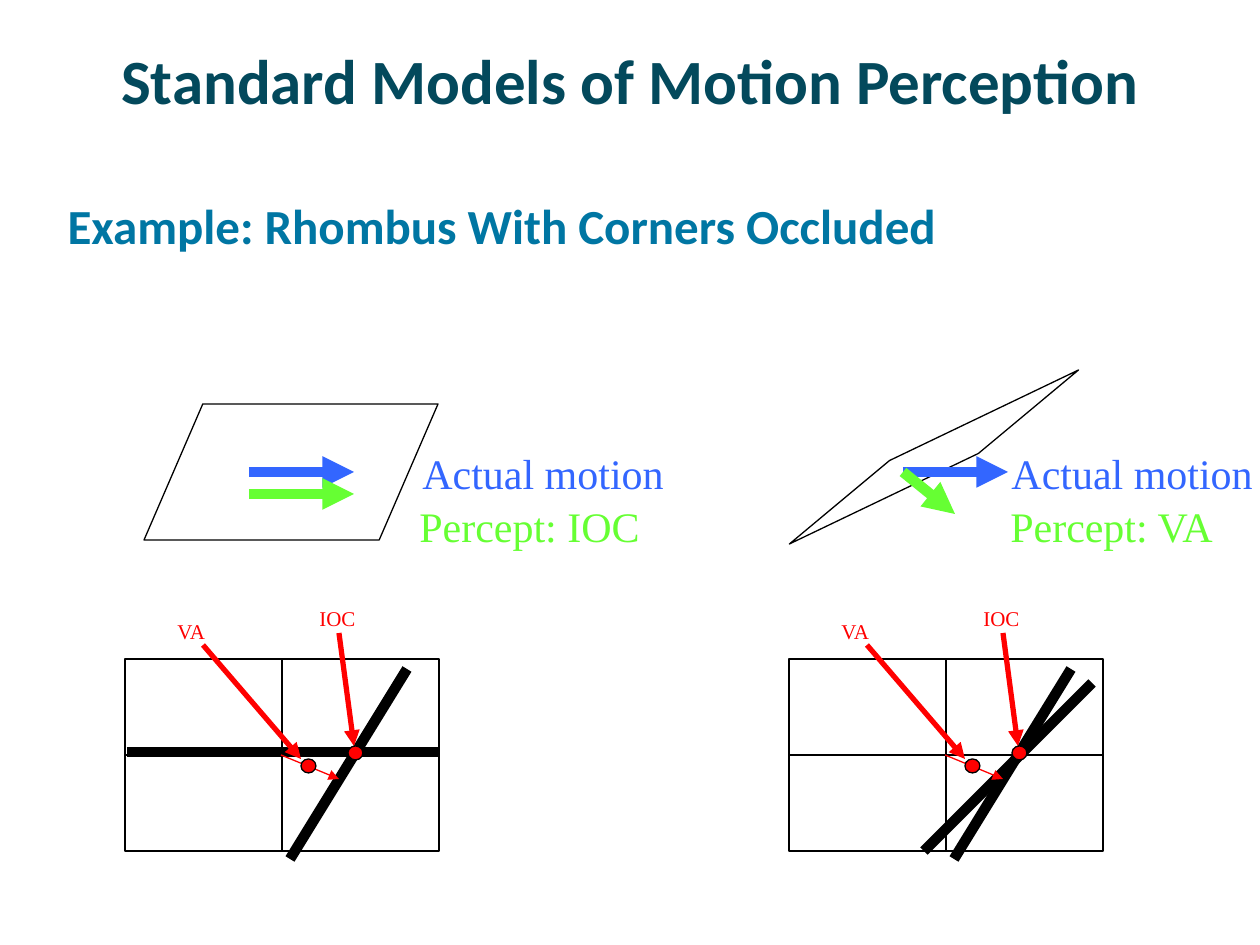
"""Build the slide on standard models of motion perception."""
import pptx
import pptx.dml.color
import pptx.enum.shapes
import pptx.enum.text
import pptx.oxml.ns
import pptx.util
from lxml import etree

SCALE = 914400 / 126
BLACK, WHITE, RED, BLUE, GREEN = "000000", "FFFFFF", "FF0000", "3366FF", "66FF33"
NAVY, TEAL = "03495C", "0076A3"
SHAPES = pptx.enum.shapes.MSO_SHAPE


def emu(*lengths):
    return [pptx.util.Emu(round(length * SCALE)) for length in lengths]


def color(hex_string):
    return pptx.dml.color.RGBColor.from_string(hex_string)


presentation = pptx.Presentation()
presentation.slide_width, presentation.slide_height = emu(1260, 945)
slide = presentation.slides.add_slide(presentation.slide_layouts[1])

texts = [
    (slide.shapes.title, (63, 21, 1134, 116), "Standard Models of Motion Perception", 36, "Calibri", NAVY),
    (slide.placeholders[1], (42, 189, 1155, 655), "Example: Rhombus With Corners Occluded", 28, "Calibri", TEAL),
]
shapes = [
    (SHAPES.FLOWCHART_DATA, (144, 404, 294, 136), WHITE),
    (SHAPES.PARALLELOGRAM, (766, 441, 336, 32), WHITE),
]
lines = []
panels = [
    (0, (127, 752, 438, 752)),
    (664, (924, 851, 1092, 683)),
]
for offset, second_bar in panels:
    shapes += [(SHAPES.RECTANGLE, (125 + offset, 659, 314, 192), WHITE)]
    lines += [
        ((407 + offset, 669, 290 + offset, 859), BLACK, 6, False),
        (second_bar, BLACK, 6, False),
        ((339 + offset, 633, 354 + offset, 746), RED, 3, True),
        ((281 + offset, 755, 339 + offset, 779), RED, 0.75, True),
        ((203 + offset, 645, 301 + offset, 759), RED, 3, True),
    ]
    texts += [
        (None, (307 + offset, 599, 62, 38), "IOC", 12, "Times New Roman", RED),
        (None, (165 + offset, 612, 55, 38), "VA", 12, "Times New Roman", RED),
    ]
lines += [
    ((249, 472, 354, 472), BLUE, 6, True),
    ((903, 472, 1008, 472), BLUE, 6, True),
    ((249, 494, 354, 494), GREEN, 6, True),
    ((903, 472, 955, 514), GREEN, 6, True),
]
texts += [
    (None, (998, 494, 228, 63), "Percept: VA", 24, "Times New Roman", GREEN),
    (None, (407, 494, 248, 63), "Percept: IOC", 24, "Times New Roman", GREEN),
    (None, (410, 441, 271, 63), "Actual motion", 24, "Times New Roman", BLUE),
    (None, (999, 441, 271, 63), "Actual motion", 24, "Times New Roman", BLUE),
]

outlines = []
for kind, box, fill in shapes:
    shape = slide.shapes.add_shape(kind, *emu(*box))
    shape.shadow.inherit = False
    shape.fill.solid()
    shape.fill.fore_color.rgb = color(fill)
    shape.line.color.rgb = color(BLACK)
    shape.line.width = pptx.util.Pt(0.75)
    outlines.append(shape)
    if kind == SHAPES.PARALLELOGRAM:
        shape.adjustments[0] = 3.95
        shape.rotation = 334.4
    if kind == SHAPES.RECTANGLE:
        left, top, width, height = box
        middle, center = left + width // 2, top + height // 2
        lines.insert(0, ((left, center, left + width, center), BLACK, 0.75, (shape, 1, 3)))
        lines.insert(0, ((middle, top, middle, top + height), BLACK, 0.75, (shape, 0, 2)))

for ends, line_color, weight, ending in lines:
    connector = slide.shapes.add_connector(pptx.enum.shapes.MSO_CONNECTOR.STRAIGHT, *emu(*ends))
    connector.line.color.rgb = color(line_color)
    connector.line.width = pptx.util.Pt(weight)
    if ending is True:
        etree.SubElement(connector.line._get_or_add_ln(), pptx.oxml.ns.qn("a:tailEnd"), type="triangle")
    elif ending:
        rectangle, first_side, last_side = ending
        connector.begin_connect(rectangle, first_side)
        connector.end_connect(rectangle, last_side)
    etree.SubElement(connector._element.spPr, pptx.oxml.ns.qn("a:effectLst"))

for offset, second_bar in panels:
    for left, top in ((348, 746), (301, 759)):
        dot = slide.shapes.add_shape(SHAPES.OVAL, *emu(left + offset, top, 15, 14))
        dot.shadow.inherit = False
        dot.fill.solid()
        dot.fill.fore_color.rgb = color(RED)
        dot.line.color.rgb = color(BLACK)
        dot.line.width = pptx.util.Pt(0.75)

for placeholder, box, wording, size, font_name, text_color in texts:
    holder = placeholder or slide.shapes.add_textbox(*emu(*box))
    holder.left, holder.top, holder.width, holder.height = emu(*box)
    holder.text_frame.word_wrap = placeholder is not None
    paragraph = holder.text_frame.paragraphs[0]
    paragraph.text = wording
    if holder.is_placeholder and holder != slide.shapes.title:
        properties = paragraph._p.get_or_add_pPr()
        properties.set("marL", str(emu(13)[0]))
        properties.set("indent", "0")
        paragraph.space_before = pptx.util.Pt(0)
        etree.SubElement(properties, pptx.oxml.ns.qn("a:buNone"))
    font_format = {"name": font_name, "size": pptx.util.Pt(size), "bold": placeholder is not None}
    for attribute, value in font_format.items():
        setattr(paragraph.runs[0].font, attribute, value)
    paragraph.runs[0].font.color.rgb = color(text_color)

presentation.save("out.pptx")
